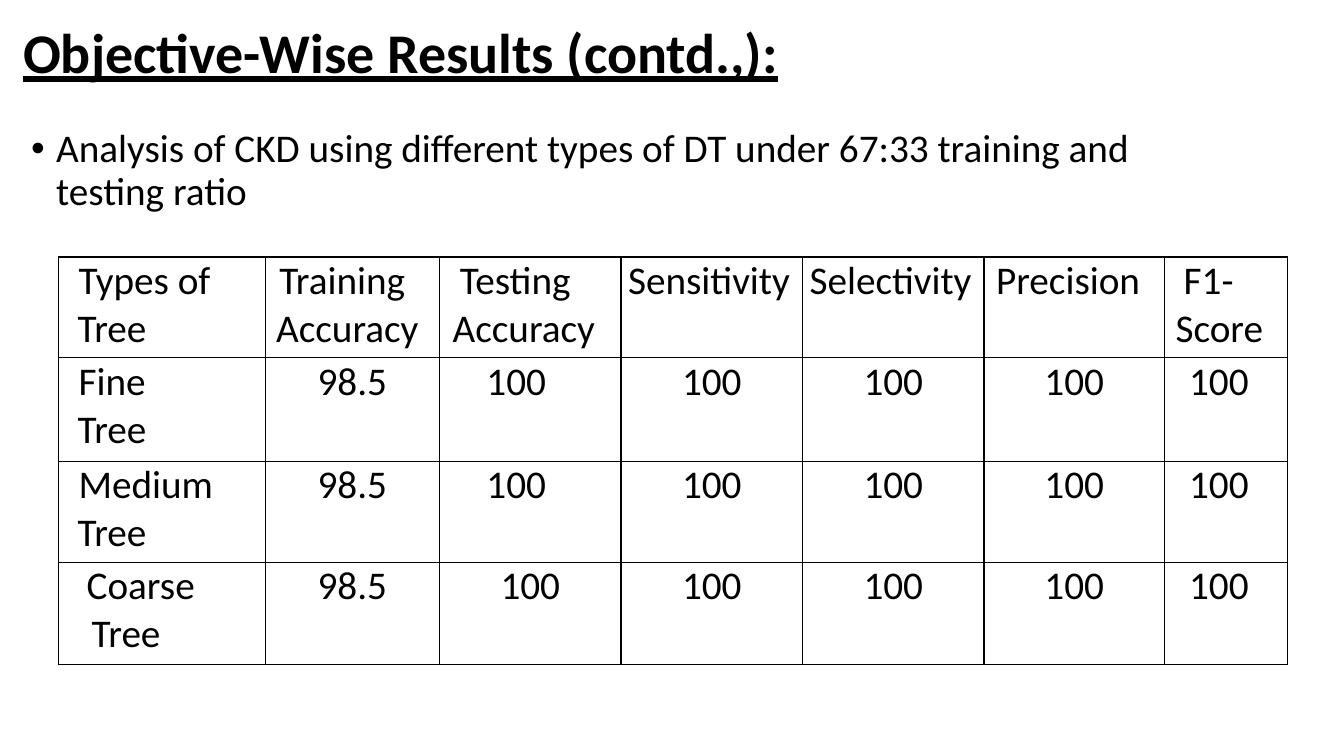
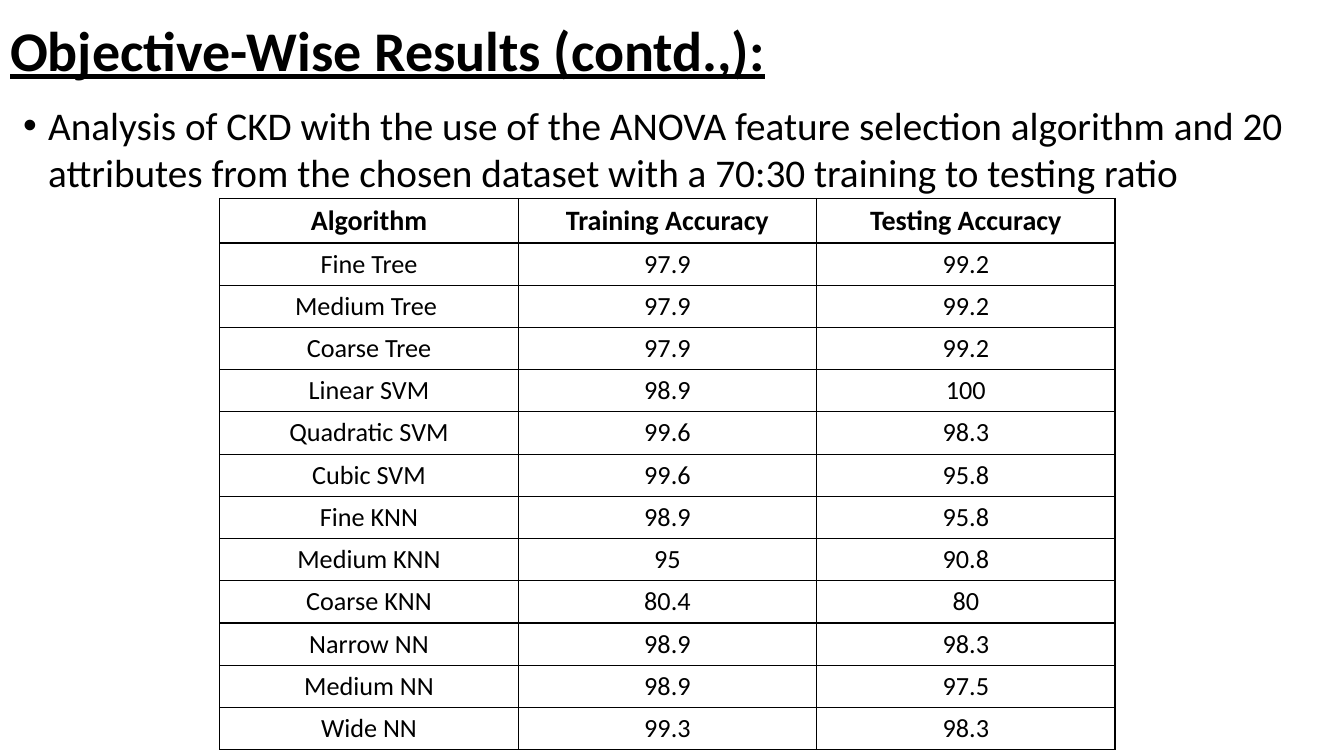
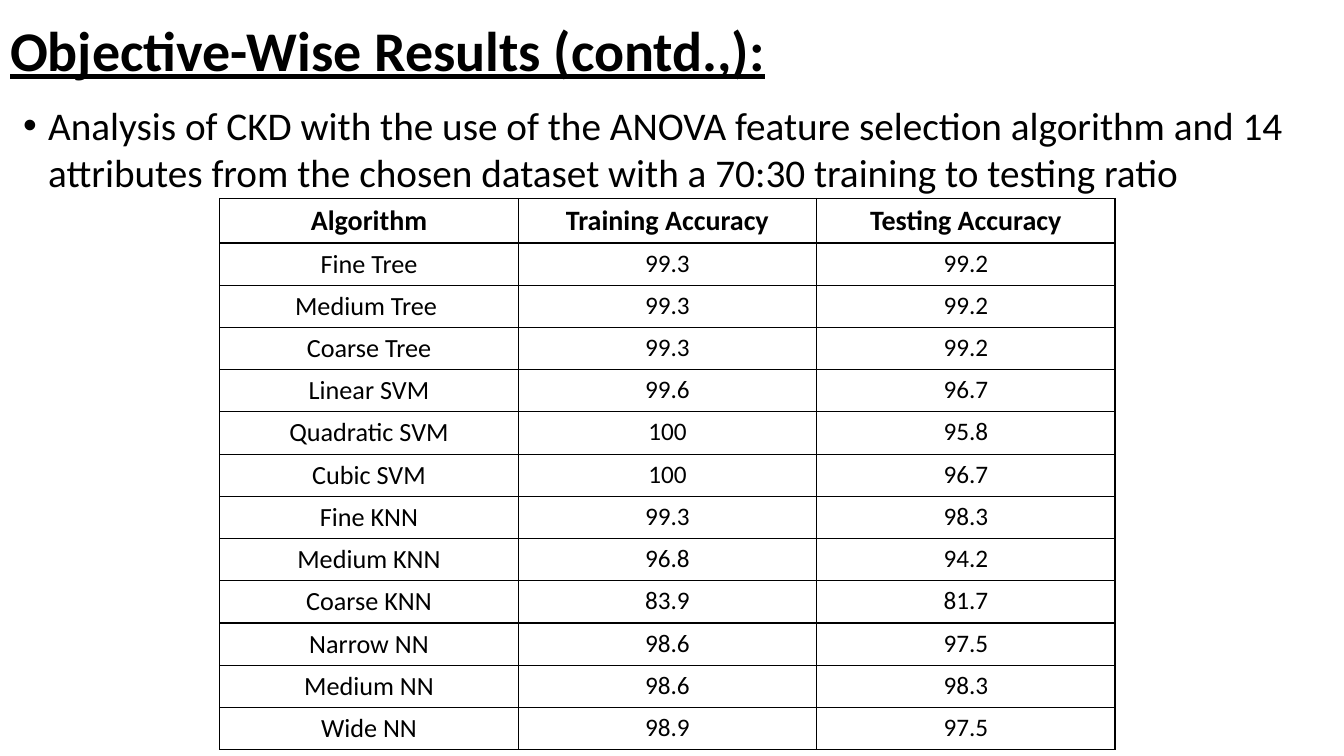
from dataclasses import dataclass

from lxml import etree
from pptx import Presentation
from pptx.dml.color import RGBColor
from pptx.enum.text import MSO_ANCHOR, MSO_AUTO_SIZE, PP_ALIGN
from pptx.oxml.ns import qn
from pptx.util import Pt

LEFT, CENTER = PP_ALIGN.LEFT, PP_ALIGN.CENTER
TOP, MIDDLE = MSO_ANCHOR.TOP, MSO_ANCHOR.MIDDLE
FIXED = MSO_AUTO_SIZE.NONE
SCALE = 9144
TITLE_ONLY = 5


@dataclass(frozen=True)
class Theme:
    face: str = "Calibri"
    ink: str = "000000"
    title: float = 40
    body: float = 28
    head: float = 20
    label: float = 18.7
    small: float = 18
    rule: float = 1


THEME = Theme()
TITLE = "Objective-Wise Results (contd.,):"
TREE_TEXT = "Analysis of CKD using different types of DT under 67:33 training and testing ratio"
ANOVA_TEXT = (
    "Analysis of CKD with the use of the ANOVA feature selection algorithm and {} "
    "attributes from the chosen dataset with a 70:30 training to testing ratio"
)

TREE_COLS = [205, 173, 180, 180, 180, 179, 122]
TREE_ROWS = [100, 103, 100, 101]
TREE_HEAD = [
    [("Types of", 20), ("Tree", 19)],
    [("Training", 14), ("Accuracy", 11)],
    [("Testing", 20), ("Accuracy", 13)],
    [("Sensitivity", 7)],
    [("Selectivity", 7)],
    [("Precision", 12)],
    [("F1-", 19), ("Score", 11)],
]
TREE_KINDS = [("Fine", 20, 19), ("Medium", 20, 19), ("Coarse", 28, 33)]
TREE_VALUES = ["98.5", "100", "100", "100", "100", "100"]
TREE_SIDES = [(27, 27), (0, 28), (7, 7), (7, 7), (12, 12), (0, 14)]

SCORE_HEAD = ["Algorithm", "Training Accuracy", "Testing Accuracy"]
MODELS = [
    "Fine Tree", "Medium Tree ", "Coarse Tree", "Linear SVM", "Quadratic SVM", "Cubic SVM",
    "Fine KNN", "Medium KNN", "Coarse KNN", "Narrow NN", "Medium NN", "Wide NN",
]
TRAIN_20 = [97.9, 97.9, 97.9, 98.9, 99.6, 99.6, 98.9, 95, 80.4, 98.9, 98.9, 99.3]
TEST_20 = [99.2, 99.2, 99.2, 100, 98.3, 95.8, 95.8, 90.8, 80, 98.3, 97.5, 98.3]
TRAIN_14 = [99.3, 99.3, 99.3, 99.6, 100, 100, 99.3, 96.8, 83.9, 98.6, 98.6, 98.9]
TEST_14 = [99.2, 99.2, 99.2, 96.7, 95.8, 96.7, 98.3, 94.2, 81.7, 97.5, 98.3, 97.5]


def px(count):
    return count * SCALE


def apply(target, **values):
    for name, value in values.items():
        setattr(target, name, value)


def place(shape, box):
    apply(shape, **dict(zip(("left", "top", "width", "height"), map(px, box))))


def write(para, text, size, **style):
    para.text = text
    apply(para.font, name=THEME.face, size=Pt(size), **style)
    para.font.color.rgb = RGBColor.from_string(THEME.ink)


def indent(para, **sides):
    props = para._p.get_or_add_pPr()
    for name, count in sides.items():
        props.set(name, str(px(count)))
    return props


def add_page(deck, box):
    slide = deck.slides.add_slide(deck.slide_layouts[TITLE_ONLY])
    title = slide.shapes.title
    place(title, box)
    apply(title.text_frame, word_wrap=True, auto_size=FIXED, vertical_anchor=MIDDLE)
    para = title.text_frame.paragraphs[0]
    write(para, TITLE, THEME.title, bold=True, underline=True)
    apply(para, alignment=LEFT, line_spacing=0.9)
    return slide


def add_point(slide, box, text, spacing):
    frame = slide.shapes.add_textbox(*map(px, box)).text_frame
    apply(frame, word_wrap=True, auto_size=FIXED, vertical_anchor=TOP)
    para = frame.paragraphs[0]
    para.line_spacing = spacing
    props = indent(para, marL=25, indent=-25)
    etree.SubElement(props, qn("a:buFont"), typeface="Arial")
    etree.SubElement(props, qn("a:buChar"), char="•")
    write(para, text, THEME.body)


def outline(cell):
    cell.fill.background()
    props = cell._tc.get_or_add_tcPr()
    for spot, side in enumerate("LRTB"):
        line = etree.Element(qn(f"a:ln{side}"), w=str(Pt(THEME.rule)))
        fill = etree.SubElement(line, qn("a:solidFill"))
        etree.SubElement(fill, qn("a:srgbClr"), val=THEME.ink)
        props.insert(spot, line)


def add_grid(slide, left, top, cols, rows):
    box = (left, top, sum(cols), sum(rows))
    table = slide.shapes.add_table(len(rows), len(cols), *map(px, box)).table
    apply(table, first_row=False, horz_banding=False)
    for col, width in zip(table.columns, cols):
        col.width = px(width)
    for row, height in zip(table.rows, rows):
        row.height = px(height)
    for cell in table.iter_cells():
        outline(cell)
    return table


def fill_lines(cell, lines):
    frame = cell.text_frame
    for spot, (text, left) in enumerate(lines):
        para = frame.add_paragraph() if spot else frame.paragraphs[0]
        indent(para, marL=left)
        write(para, text, THEME.body)


def fill_center(cell, text, size, sides=(0, 0), **style):
    para = cell.text_frame.paragraphs[0]
    para.alignment = CENTER
    indent(para, marL=sides[0], marR=sides[1])
    write(para, text, size, **style)


def tree_page(deck):
    slide = add_page(deck, (13, 11, 1150, 88))
    add_point(slide, (21, 123, 1150, 120), TREE_TEXT, 0.9)
    table = add_grid(slide, 58, 255, TREE_COLS, TREE_ROWS)
    for cell in table.iter_cells():
        apply(cell, margin_left=0, margin_right=0, margin_top=0, margin_bottom=0)
    for col, lines in enumerate(TREE_HEAD):
        fill_lines(table.cell(0, col), lines)
    for row, (kind, first, second) in enumerate(TREE_KINDS, 1):
        fill_lines(table.cell(row, 0), [(kind, first), ("Tree", second)])
        for col, (value, sides) in enumerate(zip(TREE_VALUES, TREE_SIDES), 1):
            if kind == "Coarse" and col == 2:
                sides = (7, 7)
            fill_center(table.cell(row, col), value, THEME.body, sides)


def score_page(deck, count, train, test, size):
    slide = add_page(deck, (0, -20, 1150, 145))
    add_point(slide, (13, 96, 1299, 165), ANOVA_TEXT.format(count), 1.0)
    table = add_grid(slide, 218, 197, [296] * 3, [41] * (len(MODELS) + 1))
    for col, text in enumerate(SCORE_HEAD):
        fill_center(table.cell(0, col), text, THEME.head, bold=True)
    for row, record in enumerate(zip(MODELS, train, test), 1):
        for col, value in enumerate(record):
            fill_center(table.cell(row, col), str(value), size if col else THEME.label)


def main():
    deck = Presentation()
    apply(deck, slide_width=px(1333), slide_height=px(750))
    tree_page(deck)
    score_page(deck, 20, TRAIN_20, TEST_20, THEME.label)
    score_page(deck, 14, TRAIN_14, TEST_14, THEME.small)
    deck.save("out.pptx")


if __name__ == "__main__":
    main()
